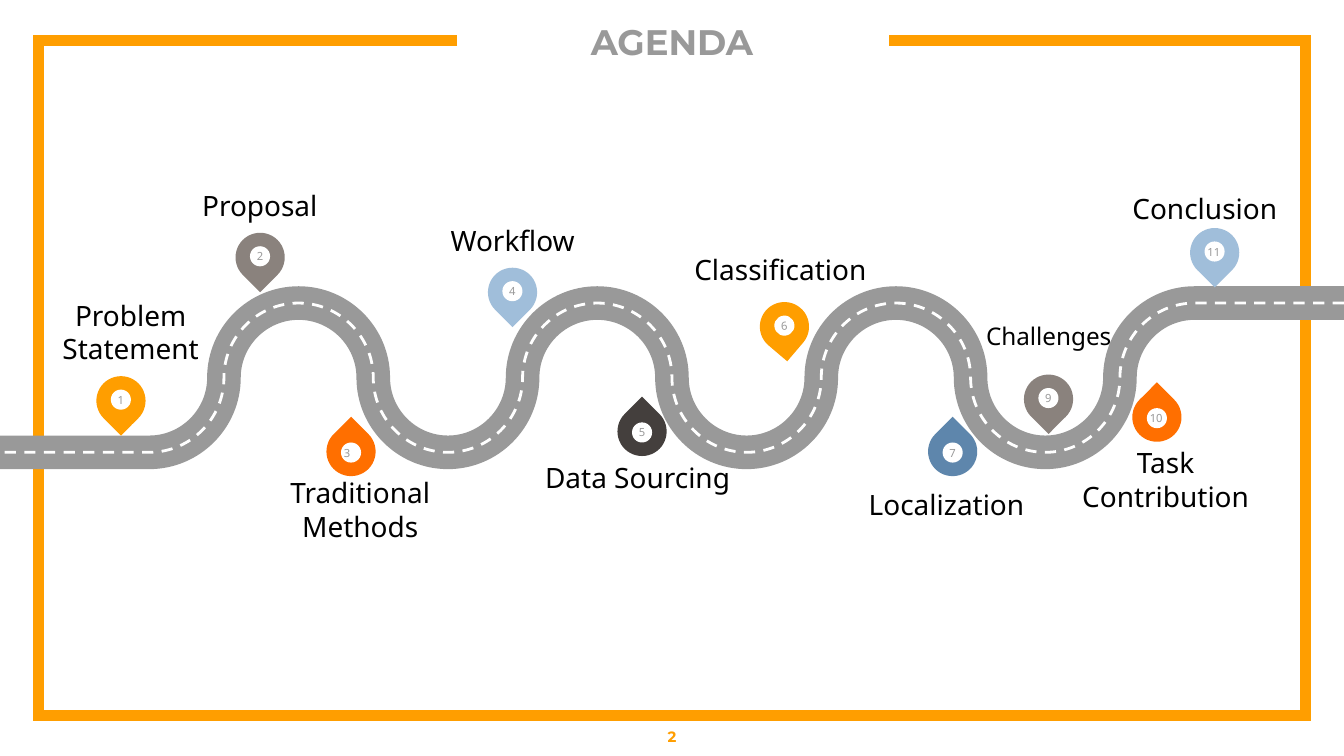
from dataclasses import dataclass
from typing import NamedTuple

from lxml.etree import SubElement
from pptx import Presentation
from pptx.dml.color import RGBColor
from pptx.enum.dml import MSO_LINE
from pptx.enum.shapes import MSO_SHAPE
from pptx.enum.text import MSO_ANCHOR, PP_ALIGN
from pptx.oxml.ns import qn
from pptx.util import Cm, Pt


@dataclass(frozen=True)
class Theme:
    orange: str = "FF9E00"
    deep_orange: str = "FF6F00"
    grey: str = "999999"
    taupe: str = "8A827D"
    charcoal: str = "443F3D"
    light_blue: str = "A0BEDA"
    blue: str = "5E86AC"
    white: str = "FFFFFF"
    black: str = "000000"
    heading_font: str = "Montserrat"
    body_font: str = "Noto Sans"
    title_size: float = 19
    label_size: float = 15
    small_label_size: float = 13
    page_size: float = 8
    number_size: float = 6


class Point(NamedTuple):
    x: float
    y: float


@dataclass(frozen=True)
class Stop:
    number: int
    label: str
    color: str
    pin: Point
    text: Point
    anchor: MSO_ANCHOR
    points_up: bool = False
    tilt: float = 0
    size: float = Theme.label_size
    number_align: PP_ALIGN = PP_ALIGN.CENTER


THEME = Theme()
TOP, BOTTOM = MSO_ANCHOR.TOP, MSO_ANCHOR.BOTTOM
SLIDE_WIDTH, SLIDE_HEIGHT = 25.4, 14.29
PIN_SIZE, DOT_SIZE = 0.93, 0.38
LABEL_WIDTH, LABEL_HEIGHT = 3.58, 1.47
ROAD_MIDDLE = 7.14
BEND_COUNT = 8
BEND_STEP = SLIDE_WIDTH / (BEND_COUNT + 1)
BEND_RADIUS = BEND_STEP / 2
ARC_HANDLE = 0.55

STOPS = [
    Stop(1, "Problem Statement", THEME.orange, Point(1.82, 7.11), Point(0.68, 5.44), BOTTOM),
    Stop(2, "Proposal", THEME.taupe, Point(4.45, 4.4), Point(3.12, 2.72), BOTTOM),
    Stop(4, "Workflow", THEME.light_blue, Point(9.22, 5.06), Point(7.9, 4.22), TOP),
    Stop(7, "Localization", THEME.blue, Point(17.54, 8.07), Point(16.1, 8.38), BOTTOM,
         points_up=True),
    Stop(5, "Data Sourcing", THEME.charcoal, Point(11.67, 7.69), Point(10.26, 7.88), BOTTOM,
         points_up=True),
    Stop(3, "Traditional Methods", THEME.deep_orange, Point(6.17, 8.07), Point(5.02, 8.99), TOP,
         points_up=True, number_align=PP_ALIGN.LEFT),
    Stop(6, "Classification", THEME.orange, Point(14.36, 5.71), Point(12.96, 4.78), TOP, tilt=-4.6),
    Stop(9, "Challenges", THEME.taupe, Point(19.35, 7.08), Point(18.03, 6.07), TOP,
         size=THEME.small_label_size),
    Stop(10, "Task Contribution", THEME.deep_orange, Point(21.4, 7.42), Point(20.24, 8.23), BOTTOM,
         points_up=True, number_align=PP_ALIGN.LEFT),
    Stop(11, "Conclusion", THEME.light_blue, Point(22.49, 4.31), Point(20.98, 3.63), TOP,
         number_align=PP_ALIGN.LEFT),
]


def write_text(shape, text: str, *, size: float, color: str, font: str = THEME.body_font,
               bold: bool = False, align: PP_ALIGN = PP_ALIGN.CENTER,
               anchor: MSO_ANCHOR = MSO_ANCHOR.MIDDLE) -> None:
    frame = shape.text_frame
    frame.word_wrap = True
    frame.vertical_anchor = anchor
    frame.margin_left = frame.margin_right = frame.margin_top = frame.margin_bottom = 0
    paragraph = frame.paragraphs[0]
    paragraph.alignment = align
    run = paragraph.add_run()
    run.text = text
    run.font.name = font
    run.font.size = Pt(size)
    run.font.bold = bold
    run.font.color.rgb = RGBColor.from_string(color)


def add_label(slide, text: str, corner: Point, width: float, height: float, **style) -> None:
    box = slide.shapes.add_textbox(Cm(corner.x), Cm(corner.y), Cm(width), Cm(height))
    write_text(box, text, **style)


def add_path(slide, points: list[Point], color: str, width: float,
             dash: MSO_LINE | None = None):
    start, *rest = [(Cm(point.x), Cm(point.y)) for point in points]
    builder = slide.shapes.build_freeform(*start)
    builder.add_line_segments(rest, close=False)
    shape = builder.convert_to_shape()
    shape.shadow.inherit = False
    shape.fill.background()
    shape.line.color.rgb = RGBColor.from_string(color)
    shape.line.width = Pt(width)
    shape.line.dash_style = dash
    line = shape.element.spPr.find(qn("a:ln"))
    SubElement(line, qn("a:miter")).set("lim", "800000")
    return shape


def road_points() -> list[Point]:
    heights = [ROAD_MIDDLE + BEND_RADIUS * side for side in (-1, 0, 1, 0)]
    anchors = [Point(BEND_STEP * BEND_COUNT - BEND_RADIUS * index, heights[index % 4])
               for index in range(2 * BEND_COUNT - 1)]
    points = [Point(SLIDE_WIDTH, heights[0]), anchors[0]]
    for index, (start, end) in enumerate(zip(anchors, anchors[1:])):
        reach_x = ARC_HANDLE * (end.x - start.x)
        reach_y = ARC_HANDLE * (end.y - start.y)
        if index % 2 == 0:
            handles = [Point(start.x + reach_x, start.y), Point(end.x, end.y - reach_y)]
        else:
            handles = [Point(start.x, start.y + reach_y), Point(end.x - reach_x, end.y)]
        points += [*handles, end]
    return [*points, Point(0, heights[2])]


def curve_bends(shape) -> None:
    segments = list(shape.element.iter(qn("a:lnTo")))[1:-1]
    for index in range(0, len(segments), 3):
        first, *others = segments[index:index + 3]
        first.tag = qn("a:cubicBezTo")
        for segment in others:
            first.append(segment[0])
            segment.getparent().remove(segment)


def add_solid(group, kind: MSO_SHAPE, corner: Point, size: float, color: str, rotation: float):
    shape = group.shapes.add_shape(kind, Cm(corner.x), Cm(corner.y), Cm(size), Cm(size))
    shape.shadow.inherit = False
    shape.fill.solid()
    shape.fill.fore_color.rgb = RGBColor.from_string(color)
    shape.line.fill.background()
    shape.rotation = rotation
    return shape


def add_stop(slide, stop: Stop) -> None:
    group = slide.shapes.add_group_shape()
    rotation = (315 if stop.points_up else 135) + stop.tilt
    add_solid(group, MSO_SHAPE.TEAR, stop.pin, PIN_SIZE, stop.color, rotation)
    inset = (PIN_SIZE - DOT_SIZE) / 2
    shift = 0.02 if stop.points_up else -0.02
    corner = Point(stop.pin.x + inset, stop.pin.y + inset + shift)
    dot = add_solid(group, MSO_SHAPE.OVAL, corner, DOT_SIZE, THEME.white, stop.tilt)
    write_text(dot, str(stop.number), size=THEME.number_size, color=THEME.grey,
               align=stop.number_align)
    add_label(slide, stop.label, stop.text, LABEL_WIDTH, LABEL_HEIGHT, size=stop.size,
              color=THEME.black, anchor=stop.anchor)


def main() -> None:
    presentation = Presentation()
    presentation.slide_width = Cm(SLIDE_WIDTH)
    presentation.slide_height = Cm(SLIDE_HEIGHT)
    slide = presentation.slides.add_slide(presentation.slide_layouts[6])

    left, right, top, bottom = 0.73, 24.68, 0.76, 13.53
    frame = [Point(8.64, top), Point(left, top), Point(left, bottom),
             Point(right, bottom), Point(right, top), Point(16.8, top)]
    add_path(slide, frame, THEME.orange, 6)
    add_label(slide, "AGENDA", Point(9.01, 0.29), 7.38, 1, size=THEME.title_size,
              color=THEME.grey, font=THEME.heading_font, bold=True)
    add_label(slide, "2", Point(0, 13.54), SLIDE_WIDTH, 0.75, size=THEME.page_size,
              color=THEME.orange, font=THEME.heading_font, bold=True)

    road = road_points()
    curve_bends(add_path(slide, road, THEME.grey, 18))
    curve_bends(add_path(slide, road, THEME.white, 1.5, MSO_LINE.DASH))
    for stop in STOPS:
        add_stop(slide, stop)
    presentation.save("out.pptx")


if __name__ == "__main__":
    main()
